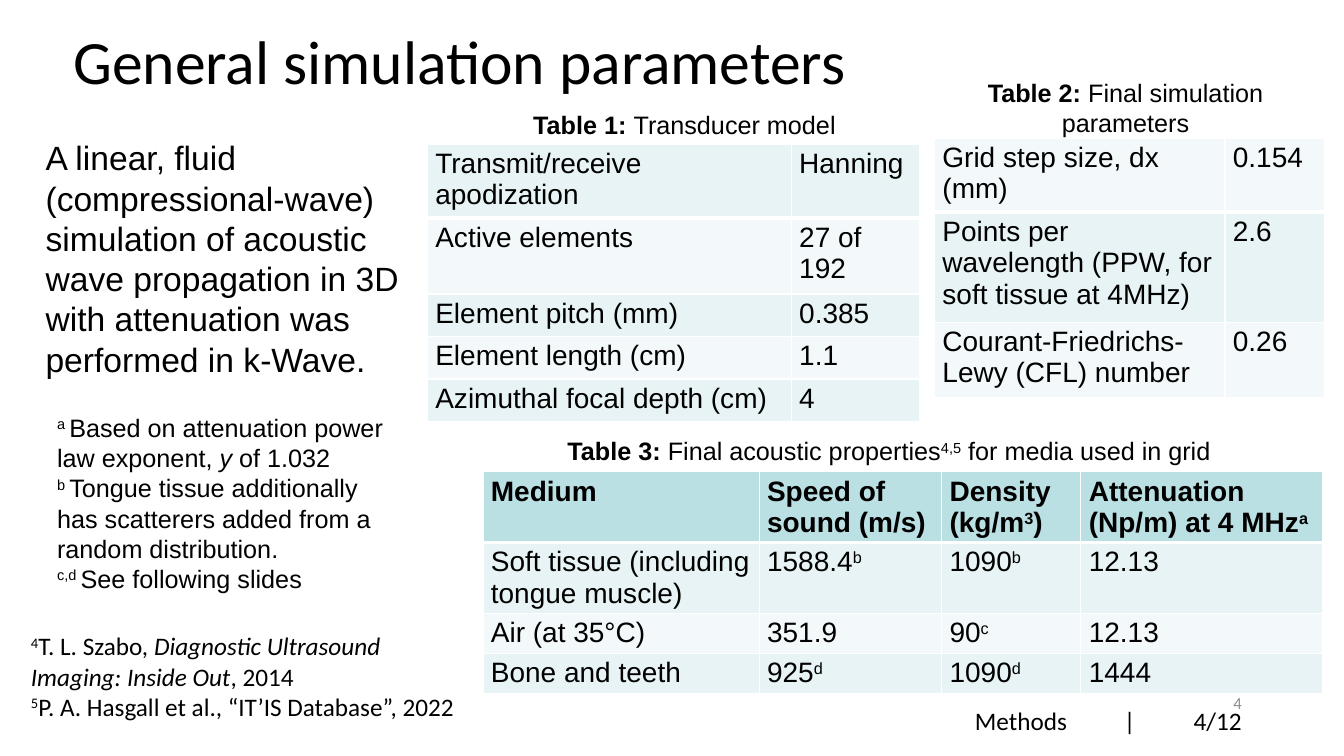
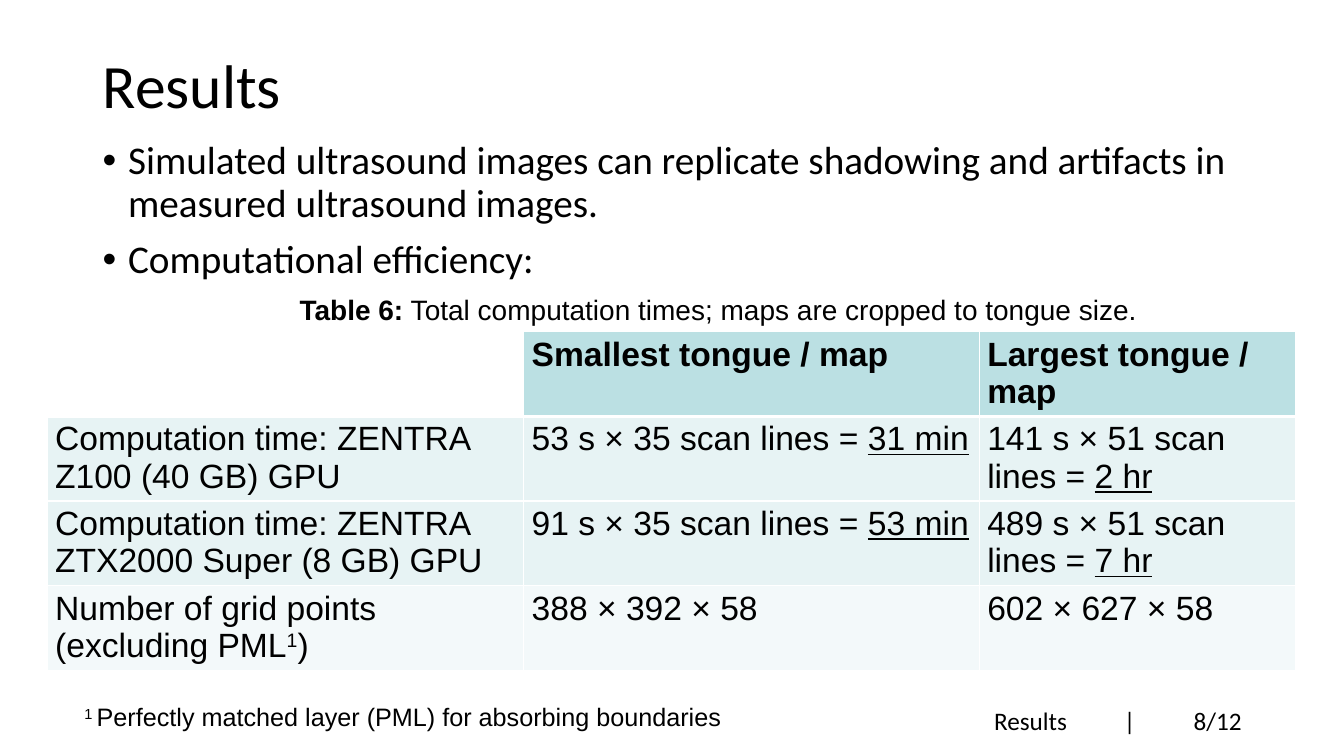
from lxml.etree import SubElement
from pptx import Presentation
from pptx.dml.color import RGBColor
from pptx.enum.text import MSO_ANCHOR as Anchor, PP_ALIGN as Align
from pptx.oxml.ns import qn
from pptx.util import Cm, Pt

# Shared look
BLACK, WHITE, GREY = "000000", "FFFFFF", "8C8C8C"
FILLS = {"head": "BBE0E3", "dark": "E7F3F4", "light": "F3F9FA", "none": WHITE}
HEADING = {"size": 44, "name": "Calibri", "spacing": 0.9, "anchor": Anchor.MIDDLE}
CAPTION = {"size": 18, "align": Align.CENTER}
NOTE = {"size": 18}
FOOTER = {"size": 18, "name": "Calibri", "anchor": Anchor.MIDDLE,
          "tabs": [("r", 7.74), ("ctr", 9.32), ("r", 12.14)]}
FOOTER_BOX = (18.9, 17.65, 12.65, 1.02)
PAGE_COUNT = 12
CELL_MARGINS = {"margin_left": 0.2, "margin_right": 0.2,
                "margin_top": 0.1, "margin_bottom": 0}

# Content: a paragraph is a list of runs; a run is plain text or (text, style),
# with style b bold, i italic, u underlined, ^ superscript
SLIDES = [
    {
        "section": "Methods", "page": 4,
        "texts": [
            ((1.6, 0.08, 29.21, 3.1), HEADING, [["General simulation parameters"]]),
            ((23.93, 17.2, 7.62, 1.02),
             {"size": 12, "name": "Calibri", "color": GREY,
              "align": Align.RIGHT, "anchor": Anchor.MIDDLE}, [["4"]]),
            ((0.9, 3.33, 10.13, 6.4), {"size": 24},
             [["A linear, fluid (compressional-wave) simulation of acoustic wave "
               "propagation in 3D with attenuation was performed in k-Wave."]]),
            ((1.19, 10.26, 9.22, 4.88), NOTE, [
                [("a ", "^"), "Based on attenuation power law exponent, ", ("y", "i"),
                 " of 1.032"],
                [("b ", "^"), "Tongue tissue additionally has scatterers added "
                 "from a random distribution."],
                [("c,d ", "^"), "See following slides"],
            ]),
            ((0.53, 15.77, 11.63, 2.9), {"size": 18, "name": "Calibri"}, [
                [("4", "^"), "T. L. Szabo, ",
                 ("Diagnostic Ultrasound Imaging: Inside Out", "i"), ", 2014"],
                [("5", "^"), "P. A. Hasgall et al., “IT’IS Database”, 2022"],
            ]),
            ((11.05, 2.64, 12.4, 1.02), CAPTION,
             [[("Table 1: ", "b"), "Transducer model"]]),
            ((24.1, 1.83, 8.53, 1.8), CAPTION,
             [[("Table 2: ", "b"), "Final simulation parameters"]]),
            ((11.05, 10.85, 22.71, 1.02), CAPTION,
             [[("Table 3: ", "b"), "Final acoustic properties", ("4,5", "^"),
               " for media used in grid"]]),
        ],
        "tables": [
            {"at": (10.77, 3.63), "size": 20, "columns": [9.17, 3.23],
             "rows": [
                 ("dark", 1.87, [["Transmit/receive apodization"], ["Hanning"]]),
                 ("light", 1.91, [["Active elements"], ["27 of 192"]]),
                 ("dark", 1.07, [["Element pitch (mm)"], ["0.385"]]),
                 ("light", 1.07, [["Element length (cm)"], ["1.1"]]),
                 ("dark", 1.07, [["Azimuthal focal depth (cm)"], ["4"]]),
             ]},
            {"at": (23.55, 3.48), "size": 20, "columns": [7.32, 2.51],
             "rows": [
                 ("light", 1.87, [["Grid step size, dx (mm)"], ["0.154"]]),
                 ("dark", 2.77, [["Points per wavelength (PPW, for soft tissue at 4MHz)"],
                                 ["2.6"]]),
                 ("light", 1.91, [["Courant-Friedrichs-Lewy (CFL) number"], ["0.26"]]),
             ]},
            {"at": (12.17, 11.89), "size": 20, "columns": [6.96, 4.6, 3.51, 6.1],
             "rows": [
                 ("head", 1.78, [[("Medium", "b")], [("Speed of sound (m/s)", "b")],
                                 [("Density (kg/m", "b"), ("3", "b^"), (")", "b")],
                                 [("Attenuation (Np/m) at 4 MHz", "b"), ("a", "b^")]]),
                 ("dark", 1.78, [["Soft tissue (including tongue muscle)"],
                                 ["1588.4", ("b", "^")], ["1090", ("b", "^")], ["12.13"]]),
                 ("light", 1.01, [["Air (at 35°C)"], ["351.9"], ["90", ("c", "^")],
                                  ["12.13"]]),
                 ("dark", 1.01, [["Bone and teeth"], ["925", ("d", "^")],
                                 ["1090", ("d", "^")], ["1444"]]),
             ]},
        ],
    },
    {
        "section": "Results", "page": 8,
        "texts": [
            ((2.34, 0.38, 29.21, 3.68), HEADING, [["Results"]]),
            ((2.34, 3.43, 29.21, 3.8),
             {"size": 28, "name": "Calibri", "spacing": 0.9, "before": 10, "bullet": "•"}, [
                 ["Simulated ultrasound images can replicate shadowing and artifacts "
                  "in measured ultrasound images."],
                 ["Computational efficiency:"],
             ]),
            ((7.3, 7.24, 22.56, 1.12), {"size": 20},
             [[("Table 6:", "b"),
               " Total computation times; maps are cropped to tongue size."]]),
            ((1.88, 17.55, 16.9, 1.02), NOTE,
             [[("1 ", "^"), "Perfectly matched layer (PML) for absorbing boundaries"]]),
        ],
        "tables": [
            {"at": (1.19, 8.36), "size": 24, "columns": [12.01, 11.48, 7.98],
             "rows": [
                 ("head", 2.1, [[], [("Smallest tongue / map", "b")],
                                [("Largest tongue / map", "b")]]),
                 ("dark", 2.1, [["Computation time: ZENTRA Z100 (40 GB) GPU"],
                                ["53 s × 35 scan lines = ", ("31 min", "u")],
                                ["141 s × 51 scan lines = ", ("2 hr", "u")]]),
                 ("dark", 2.1, [["Computation time: ZENTRA ZTX2000 Super (8 GB) GPU"],
                                ["91 s × 35 scan lines = ", ("53 min", "u")],
                                ["489 s × 51 scan lines = ", ("7 hr", "u")]]),
                 ("light", 2.1, [["Number of grid points (excluding PML", ("1", "^"), ")"],
                                 ["388 × 392 × 58"], ["602 × 627 × 58"]]),
             ]},
        ],
    },
]


def rgb(value):
    return RGBColor.from_string(value)


def add_runs(paragraph, runs, look):
    """Write the runs of one paragraph."""
    for item in runs:
        text, style = (item, "") if isinstance(item, str) else item
        run = paragraph.add_run()
        run.text = text
        values = {"size": Pt(look["size"]), "name": look.get("name", "Arial"),
                  "bold": "b" in style, "italic": "i" in style, "underline": "u" in style}
        for key, value in values.items():
            setattr(run.font, key, value)
        run.font.color.rgb = rgb(look.get("color", BLACK))
        if "^" in style:
            run.font._element.set("baseline", "30000")


def add_text(slide, box, look, paragraphs):
    frame = slide.shapes.add_textbox(*map(Cm, box)).text_frame
    frame.word_wrap = True
    frame.vertical_anchor = look.get("anchor", Anchor.TOP)
    for index, runs in enumerate(paragraphs):
        paragraph = frame.add_paragraph() if index else frame.paragraphs[0]
        properties = paragraph._p.get_or_add_pPr()
        if "bullet" in look:
            properties.set("marL", str(Cm(0.64)))
            properties.set("indent", str(-Cm(0.64)))
            SubElement(properties, qn("a:buFont"), typeface="Arial")
            SubElement(properties, qn("a:buChar"), char=look["bullet"])
        if "tabs" in look:
            tabs = SubElement(properties, qn("a:tabLst"))
            for kind, position in look["tabs"]:
                SubElement(tabs, qn("a:tab"), pos=str(Cm(position)), algn=kind)
        values = {"alignment": look.get("align", Align.LEFT),
                  "line_spacing": look.get("spacing", 1.0),
                  "space_before": Pt(look.get("before", 0) if index else 0)}
        for key, value in values.items():
            setattr(paragraph, key, value)
        add_runs(paragraph, runs, look)


def add_borders(cell, row_index):
    """White rules, with a thick one under the first row."""
    widths = {"lnL": 1, "lnR": 1, "lnT": 3 if row_index == 1 else 1,
              "lnB": 3 if row_index == 0 else 1}
    for tag, width in widths.items():
        line = SubElement(cell._tc.get_or_add_tcPr(), qn(f"a:{tag}"), w=str(Pt(width)))
        SubElement(SubElement(line, qn("a:solidFill")), qn("a:srgbClr"), val=WHITE)


def add_table(slide, data):
    columns, rows = data["columns"], data["rows"]
    extent = sum(columns), sum(height for _, height, _ in rows)
    table = slide.shapes.add_table(len(rows), len(columns),
                                   *map(Cm, data["at"] + extent)).table
    for column, width in zip(table.columns, columns):
        column.width = Cm(width)
    for row_index, (shade, height, cells) in enumerate(rows):
        table.rows[row_index].height = Cm(height)
        for cell, runs in zip(table.rows[row_index].cells, cells):
            for key, value in CELL_MARGINS.items():
                setattr(cell, key, Cm(value))
            add_borders(cell, row_index)
            cell.fill.solid()
            cell.fill.fore_color.rgb = rgb(FILLS[shade if runs else "none"])
            add_runs(cell.text_frame.paragraphs[0], runs, data)


def main():
    presentation = Presentation()
    presentation.slide_width, presentation.slide_height = Cm(33.87), Cm(19.05)
    for content in SLIDES:
        slide = presentation.slides.add_slide(presentation.slide_layouts[6])
        # Tables go below the captions
        for data in content["tables"]:
            add_table(slide, data)
        for box, look, paragraphs in content["texts"]:
            add_text(slide, box, look, paragraphs)
        footer = f"\t{content['section']}\t|\t{content['page']}/{PAGE_COUNT}"
        add_text(slide, FOOTER_BOX, FOOTER, [[footer]])
    presentation.save("out.pptx")


if __name__ == "__main__":
    main()
